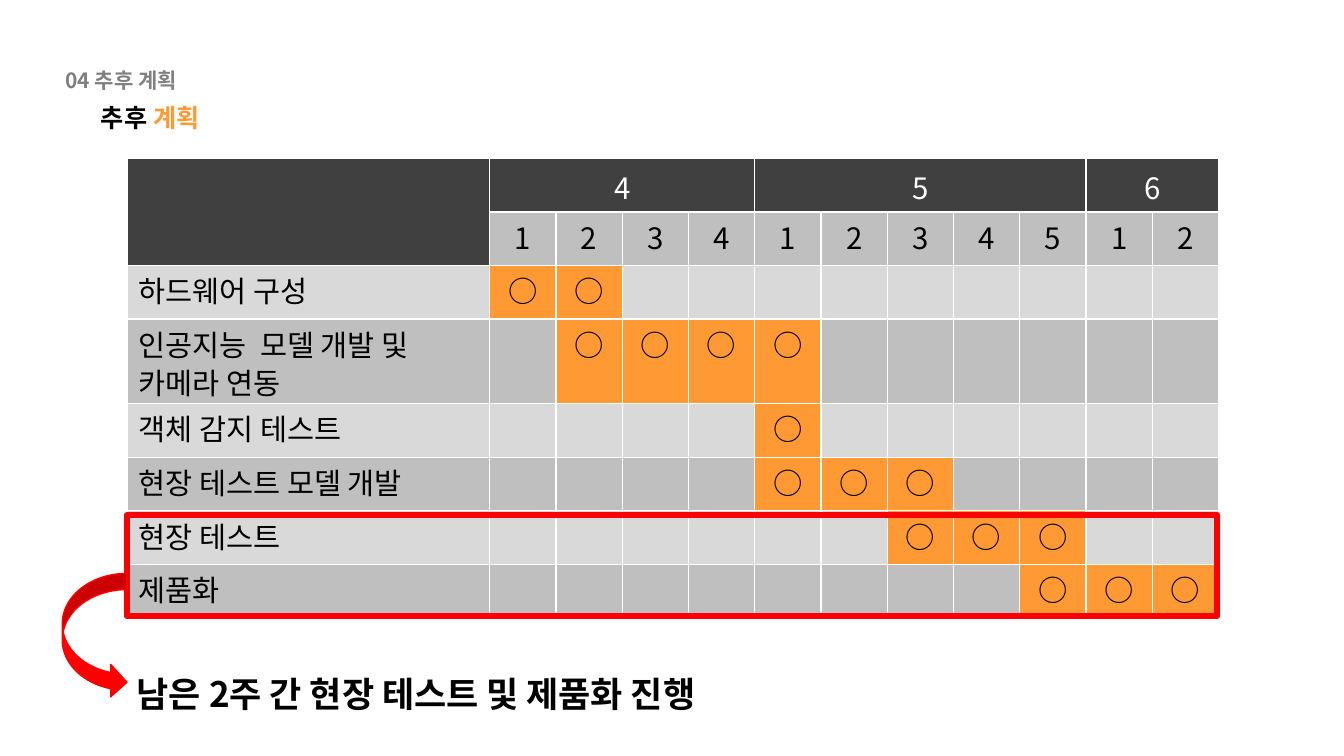
"""Build the project schedule slide with its monthly plan table."""
from dataclasses import dataclass

from lxml.etree import SubElement
from pptx import Presentation
from pptx.dml.color import RGBColor
from pptx.enum.shapes import MSO_SHAPE as Preset
from pptx.enum.text import MSO_ANCHOR as Anchor, MSO_AUTO_SIZE as AutoSize, PP_ALIGN as Align
from pptx.oxml import parse_xml
from pptx.oxml.ns import nsdecls, qn
from pptx.util import Cm, Pt


@dataclass(frozen=True)
class Theme:
    """Colours, font and type sizes of the slide."""
    font: str = "Noto Sans CJK KR"
    black: str = "000000"
    white: str = "FFFFFF"
    grey: str = "808080"
    header: str = "404040"
    dark_band: str = "BFBFBF"
    light_band: str = "D9D9D9"
    orange: str = "FF9933"
    red: str = "FF0000"
    section_size: float = 15
    title_size: float = 18
    table_size: float = 21
    table_leading: float = 27
    closing_size: float = 25


@dataclass(frozen=True)
class Box:
    """A position and size in centimetres."""
    left: float
    top: float
    width: float
    height: float

    def lengths(self):
        """Return the four values as slide lengths."""
        return Cm(self.left), Cm(self.top), Cm(self.width), Cm(self.height)


@dataclass(frozen=True)
class Month:
    """A month heading and its number of weeks."""
    name: str
    weeks: int


@dataclass(frozen=True)
class Task:
    """A task with its first week column and its duration."""
    name: str
    start: int
    weeks: int
    height: float = 1.35


@dataclass(frozen=True)
class Label:
    """A line of bold text."""
    text: str
    box: Box
    size: float
    color: str


@dataclass(frozen=True)
class Outline:
    """A red preset shape, filled or open."""
    preset: Preset
    box: Box
    line_width: float
    filled: bool


THEME = Theme()
MONTHS = [Month("4", 4), Month("5", 5), Month("6", 2)]
TASKS = [
    Task("하드웨어 구성", 1, 2),
    Task("인공지능  모델 개발 및 카메라 연동", 2, 4, 2.13),
    Task("객체 감지 테스트", 5, 1),
    Task("현장 테스트 모델 개발", 5, 3),
    Task("현장 테스트", 7, 3),
    Task("제품화", 9, 3),
]
LABELS = [
    Label("04 추후 계획", Box(1.4, 1.57, 4.78, 0.89), THEME.section_size, THEME.grey),
    Label("남은 2주 간 현장 테스트 및 제품화 진행", Box(3.2, 16.81, 16.99, 1.32),
          THEME.closing_size, THEME.black),
]
OUTLINES = [
    Outline(Preset.RECTANGLE, Box(3.2, 12.98, 27.48, 2.54), 4.5, False),
    Outline(Preset.CURVED_RIGHT_ARROW, Box(1.57, 14.45, 1.63, 3.15), 1, True),
]
TITLE_BOX = Box(2.29, 2.46, 6.38, 1.02)
HEADER_HEIGHT, TASK_WIDTH, WEEK_WIDTH = 1.35, 9.14, 1.67


def style_run(run, size: float, color: str, bold: bool = False) -> None:
    """Set the font of a run for Latin and Korean text."""
    run.font.size, run.font.bold, run.font.name = Pt(size), bold, THEME.font
    run.font.color.rgb = RGBColor.from_string(color)
    SubElement(run.font._element, qn("a:ea")).set("typeface", THEME.font)


def add_title(slide) -> None:
    """Fill the title placeholder in two colours."""
    title = slide.shapes.title
    title.left, title.top, title.width, title.height = TITLE_BOX.lengths()
    frame = title.text_frame
    frame.word_wrap, frame.auto_size = True, AutoSize.NONE
    frame.vertical_anchor = Anchor.TOP
    paragraph = frame.paragraphs[0]
    paragraph.alignment, paragraph.line_spacing = Align.LEFT, 1.0
    paragraph.space_before = Pt(0)
    for text, color in (("추후 ", THEME.black), ("계획", THEME.orange)):
        run = paragraph.add_run()
        run.text = text
        style_run(run, THEME.title_size, color, True)


def add_label(slide, label: Label) -> None:
    """Add one line of bold text."""
    frame = slide.shapes.add_textbox(*label.box.lengths()).text_frame
    frame.word_wrap = True
    frame.text = label.text
    style_run(frame.paragraphs[0].runs[0], label.size, label.color, True)


def add_outline(slide, outline: Outline) -> None:
    """Add a red preset shape."""
    shape = slide.shapes.add_shape(outline.preset, *outline.box.lengths())
    shape.shadow.inherit = False
    red = RGBColor.from_string(THEME.red)
    shape.line.color.rgb, shape.line.width = red, Pt(outline.line_width)
    if outline.filled:
        shape.fill.solid()
        shape.fill.fore_color.rgb = red
    else:
        shape.fill.background()


def format_cell(cell, fill: str, text: str = "", color: str = THEME.black,
                centred: bool = True, top: float = 0.2) -> None:
    """Fill, frame and write one table cell."""
    cell.fill.solid()
    cell.fill.fore_color.rgb = RGBColor.from_string(fill)
    cell.margin_left = cell.margin_right = Cm(0.3)
    cell.margin_top, cell.margin_bottom = Cm(top), Cm(0)
    for index, side in enumerate(("lnL", "lnR", "lnT", "lnB")):
        border = parse_xml(f'<a:{side} {nsdecls("a")} w="{Pt(1)}"><a:solidFill>'
                           f'<a:srgbClr val="{THEME.white}"/></a:solidFill></a:{side}>')
        cell._tc.get_or_add_tcPr().insert(index, border)
    if text:
        cell.text_frame.text = text
        paragraph = cell.text_frame.paragraphs[0]
        paragraph.alignment = Align.CENTER if centred else Align.LEFT
        paragraph.line_spacing = Pt(THEME.table_leading)
        style_run(paragraph.runs[0], THEME.table_size, color)


def add_schedule(slide) -> None:
    """Add the table of tasks by month and week."""
    week_count = sum(month.weeks for month in MONTHS)
    heights = [HEADER_HEIGHT] * 2 + [task.height for task in TASKS]
    box = Box(3.2, 3.99, TASK_WIDTH + week_count * WEEK_WIDTH, sum(heights))
    table = slide.shapes.add_table(len(heights), week_count + 1, *box.lengths()).table
    table.first_row = table.horz_banding = False
    for row, height in zip(table.rows, heights):
        row.height = Cm(height)
    for index, column in enumerate(table.columns):
        column.width = Cm(WEEK_WIDTH if index else TASK_WIDTH)

    for row in range(2):
        format_cell(table.cell(row, 0), THEME.header)
    table.cell(0, 0).merge(table.cell(1, 0))
    first = 1
    for month in MONTHS:
        for week in range(month.weeks):
            format_cell(table.cell(0, first + week), THEME.header,
                        "" if week else month.name, THEME.white, top=0.3)
            format_cell(table.cell(1, first + week), THEME.dark_band, str(week + 1))
        table.cell(0, first).merge(table.cell(0, first + month.weeks - 1))
        first += month.weeks

    for row, task in enumerate(TASKS, start=2):
        band = THEME.dark_band if row % 2 else THEME.light_band
        format_cell(table.cell(row, 0), band, task.name, centred=False)
        for week in range(1, week_count + 1):
            active = task.start <= week < task.start + task.weeks
            format_cell(table.cell(row, week), THEME.orange if active else band,
                        "○" if active else "")


def main() -> None:
    """Create and save the presentation."""
    presentation = Presentation()
    presentation.slide_width, presentation.slide_height = Cm(33.87), Cm(19.05)
    slide = presentation.slides.add_slide(presentation.slide_layouts[5])
    add_title(slide)
    for label in LABELS:
        add_label(slide, label)
    add_schedule(slide)
    for outline in OUTLINES:
        add_outline(slide, outline)
    presentation.save("out.pptx")


if __name__ == "__main__":
    main()
